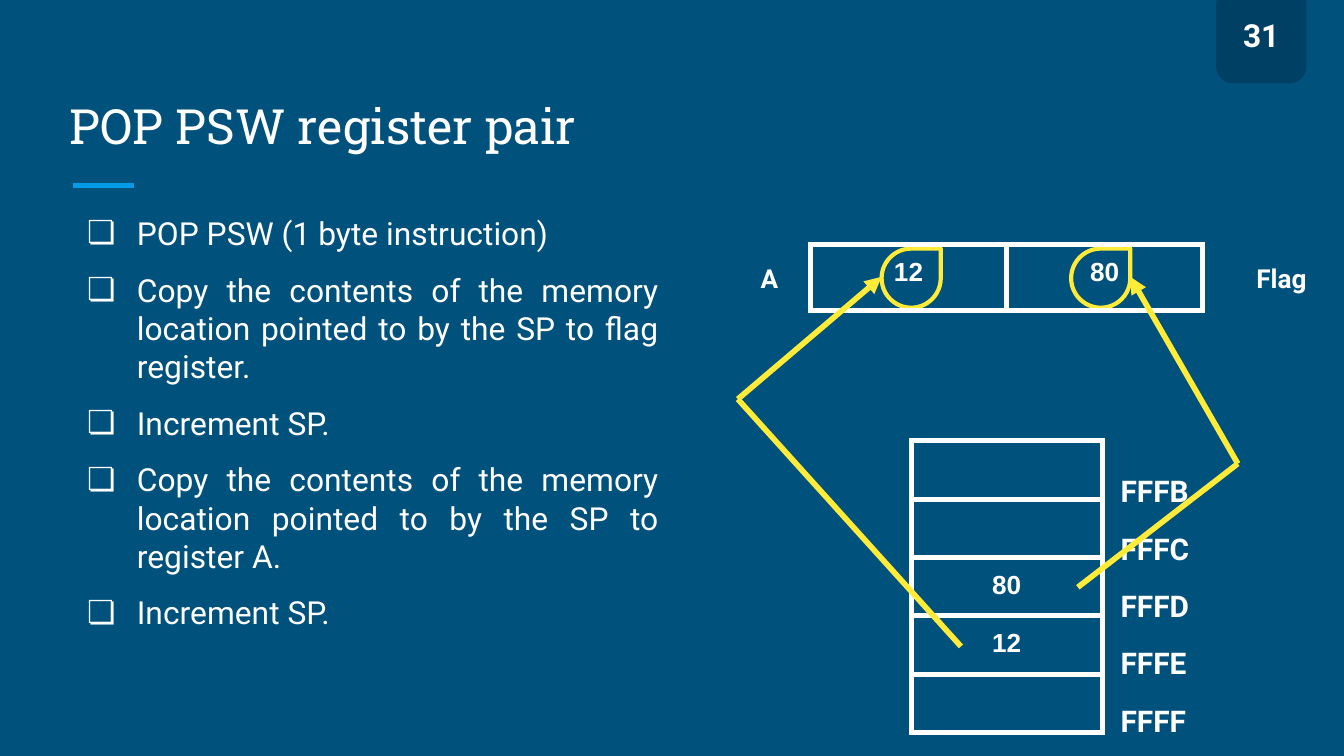
from pptx import Presentation
from pptx.util import Inches, Pt
from pptx.dml.color import RGBColor
from pptx.enum.shapes import MSO_SHAPE, MSO_CONNECTOR
from pptx.enum.text import PP_ALIGN, MSO_ANCHOR
from pptx.oxml import parse_xml
from pptx.oxml.ns import nsdecls

BLUE = RGBColor(0x00, 0x51, 0x7C)
NAVY = RGBColor(0x00, 0x40, 0x65)
SKY = RGBColor(0x03, 0x9B, 0xE5)
YELLOW = RGBColor(0xFF, 0xEB, 0x38)
WHITE = RGBColor(0xFF, 0xFF, 0xFF)

STEPS = [
    "POP PSW (1 byte instruction)",
    "Copy the contents of the memory location pointed to by the SP to flag register.",
    "Increment SP.",
    "Copy the contents of the memory location pointed to by the SP to register A.",
    "Increment SP.",
]
CODES = ["FFFB", "FFFC", "FFFD", "FFFE", "FFFF"]
CELLS = ["", "", "80", "12", ""]


def bullet(para, mark, size, font):
    """Give a paragraph a hanging bullet."""
    props = para._p.get_or_add_pPr()
    props.set("marL", str(Inches(0.5)))
    props.set("indent", str(Inches(-0.37)))
    for part in (f'buClr {nsdecls("a")}><a:srgbClr val="{WHITE}"/></a:buClr',
                 f'buSzPts {nsdecls("a")} val="{size * 100}"/',
                 f'buFont {nsdecls("a")} typeface="{font}"/',
                 f'buChar {nsdecls("a")} char="{mark}"/'):
        props.append(parse_xml(f"<a:{part}>"))


def write(frame, lines, size=14, font="Roboto", bold=False,
          align=PP_ALIGN.LEFT, gap=0, lead=None, mark=None):
    """Fill a text frame with one formatted paragraph per line."""
    for i, line in enumerate(lines):
        para = frame.paragraphs[0] if i == 0 else frame.add_paragraph()
        para.alignment = align
        para.line_spacing = lead
        if i:
            para.space_before = Pt(gap)
        if mark:
            bullet(para, mark, size, font)
        run = para.add_run()
        run.text = line
        run.font.size = Pt(size)
        run.font.name = font
        run.font.bold = bold
        run.font.color.rgb = WHITE


def label(slide, box, lines, anchor=MSO_ANCHOR.TOP, **style):
    """Add a wrapped text box with even insets."""
    frame = slide.shapes.add_textbox(*map(Inches, box)).text_frame
    frame.word_wrap = True
    frame.vertical_anchor = anchor
    frame.margin_left = frame.margin_right = Inches(0.1)
    frame.margin_top = frame.margin_bottom = Inches(0.1)
    write(frame, lines, **style)


def shape(slide, kind, box, fill, line, width, adjust):
    """Add a filled preset shape."""
    item = slide.shapes.add_shape(kind, *map(Inches, box))
    item.shadow.inherit = False
    item.adjustments[0] = adjust
    item.fill.solid()
    item.fill.fore_color.rgb = fill
    item.line.color.rgb = line
    item.line.width = Pt(width)


def line(slide, start, end, color, arrow=False):
    """Add a straight line, with an arrowhead at its end if asked."""
    item = slide.shapes.add_connector(
        MSO_CONNECTOR.STRAIGHT, *map(Inches, start + end))
    item.line.color.rgb = color
    item.line.width = Pt(3)
    if arrow:
        item.line._get_or_add_ln().append(
            parse_xml(f'<a:tailEnd {nsdecls("a")} type="triangle"/>'))
    item._element.spPr.append(parse_xml(f'<a:effectLst {nsdecls("a")}/>'))


def border(cell):
    """Draw white borders on all four sides of a cell."""
    props = cell._tc.get_or_add_tcPr()
    for i, side in enumerate(("lnL", "lnR", "lnT", "lnB")):
        props.insert(i, parse_xml(
            f'<a:{side} {nsdecls("a")} w="{Pt(3)}"><a:solidFill>'
            f'<a:srgbClr val="{WHITE}"/></a:solidFill></a:{side}>'))


def grid(slide, box, rows):
    """Add an unfilled table of evenly sized cells."""
    table = slide.shapes.add_table(
        len(rows), len(rows[0]), *map(Inches, box)).table
    table.first_row = table.horz_banding = False
    for r, row in enumerate(rows):
        for c, text in enumerate(row):
            cell = table.cell(r, c)
            cell.fill.background()
            border(cell)
            pad = Inches(0.1 if text else 0)
            cell.margin_left = cell.margin_right = pad
            cell.margin_top = cell.margin_bottom = pad
            if text:
                write(cell.text_frame, [text], font="Arial", bold=True,
                      align=PP_ALIGN.CENTER)


def header(slide, box):
    """Place the title and the short rule below it."""
    x, y, w, h = box
    line(slide, (x + 0.12, y + 0.88), (x + 0.58, y + 0.88), SKY)
    label(slide, box, ["POP PSW register pair"], anchor=MSO_ANCHOR.BOTTOM,
          size=26, font="Roboto Slab")


def badge(slide, box):
    """Place the page number on its tab."""
    x, y, w, h = box
    shape(slide, MSO_SHAPE.ROUNDED_RECTANGLE, box, NAVY, NAVY, 3, 0.167)
    label(slide, (x, y + 0.09, w, 0.49), ["31"], size=17, bold=True,
          align=PP_ALIGN.CENTER)


def pair(slide, box):
    """Place the A and flag registers with their names."""
    x, y, w, h = box
    for left in (1.94, 0.53):
        shape(slide, MSO_SHAPE.TEAR, (x + left, y + 0.03, 0.44, 0.44),
              BLUE, YELLOW, 2.25, 1)
    grid(slide, box, [["12", "80"]])
    for name, left, wide in (("A", -0.56, 0.51), ("Flag", w + 0.12, 0.93)):
        label(slide, (x + left, y + 0.03, wide, 0.44), [name], bold=True,
              align=PP_ALIGN.CENTER)


def stack(slide, box):
    """Place the memory cells and their addresses."""
    x, y, w, h = box
    grid(slide, box, [[text] for text in CELLS])
    label(slide, (x + w + 0.04, y - 0.02, 1.32, h + 0.02), CODES,
          size=16, bold=True, lead=1.6)


def route(slide, start, bend, end):
    """Draw a bent arrow from a memory cell to a register."""
    line(slide, start, bend, YELLOW)
    line(slide, bend, end, YELLOW, arrow=True)


def main():
    """Build and save the slide."""
    deck = Presentation()
    deck.slide_width = Inches(10)
    deck.slide_height = Inches(10) * 9 // 16
    slide = deck.slides.add_slide(deck.slide_layouts[6])
    slide.background.fill.solid()
    slide.background.fill.fore_color.rgb = BLUE
    header(slide, (0.42, 0.5, 9.23, 0.75))
    label(slide, (0.42, 1.49, 4.58, 3.87), STEPS, size=17,
          align=PP_ALIGN.JUSTIFY, gap=10, mark="❏")
    badge(slide, (9.07, -0.07, 0.63, 0.67))
    pair(slide, (6.03, 1.82, 2.92, 0.49))
    stack(slide, (6.78, 3.28, 1.42, 2.17))
    route(slide, (8.02, 4.37), (9.21, 3.45), (8.41, 2.06))
    route(slide, (7.15, 4.81), (5.49, 2.97), (6.56, 2.06))
    deck.save("out.pptx")


if __name__ == "__main__":
    main()
